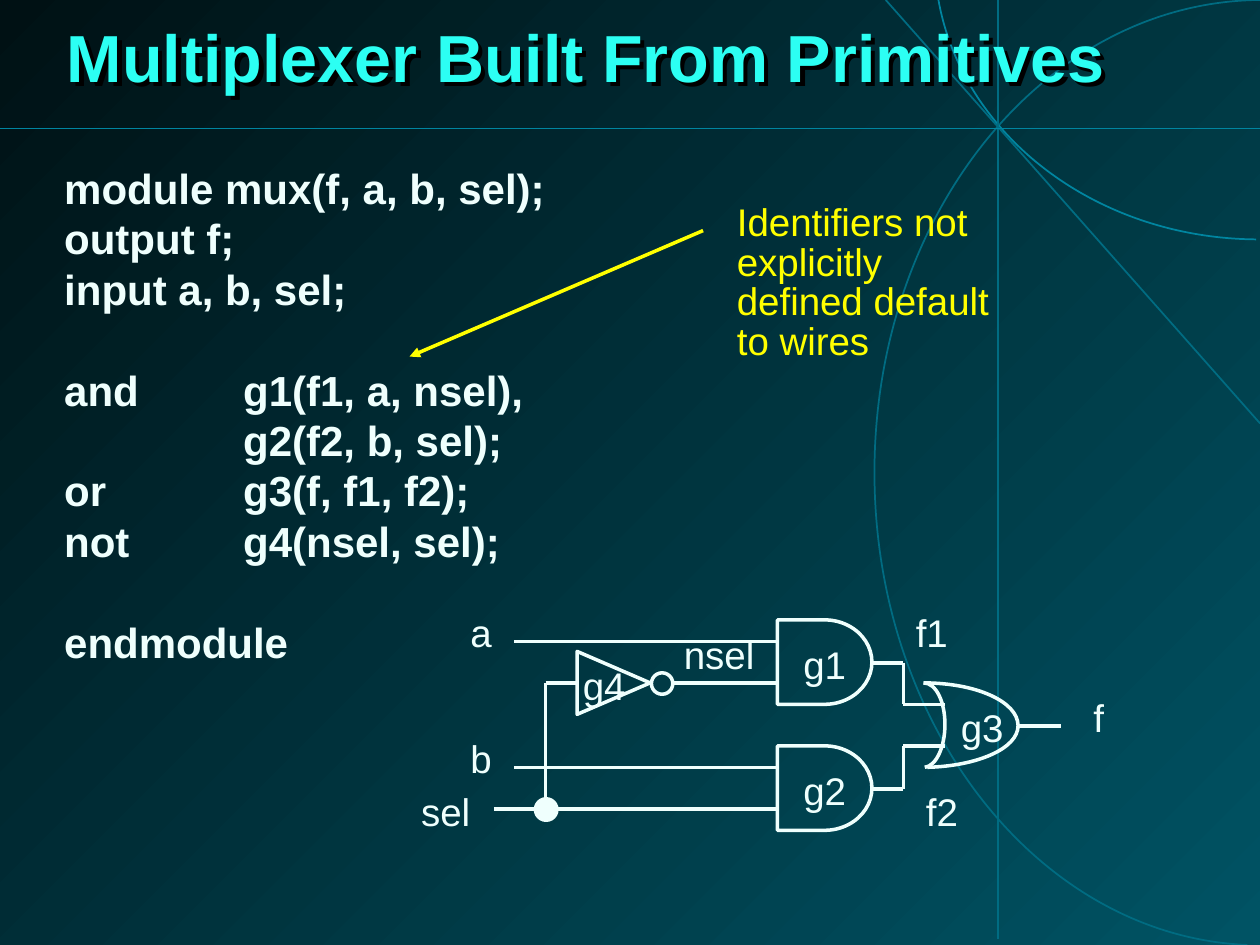
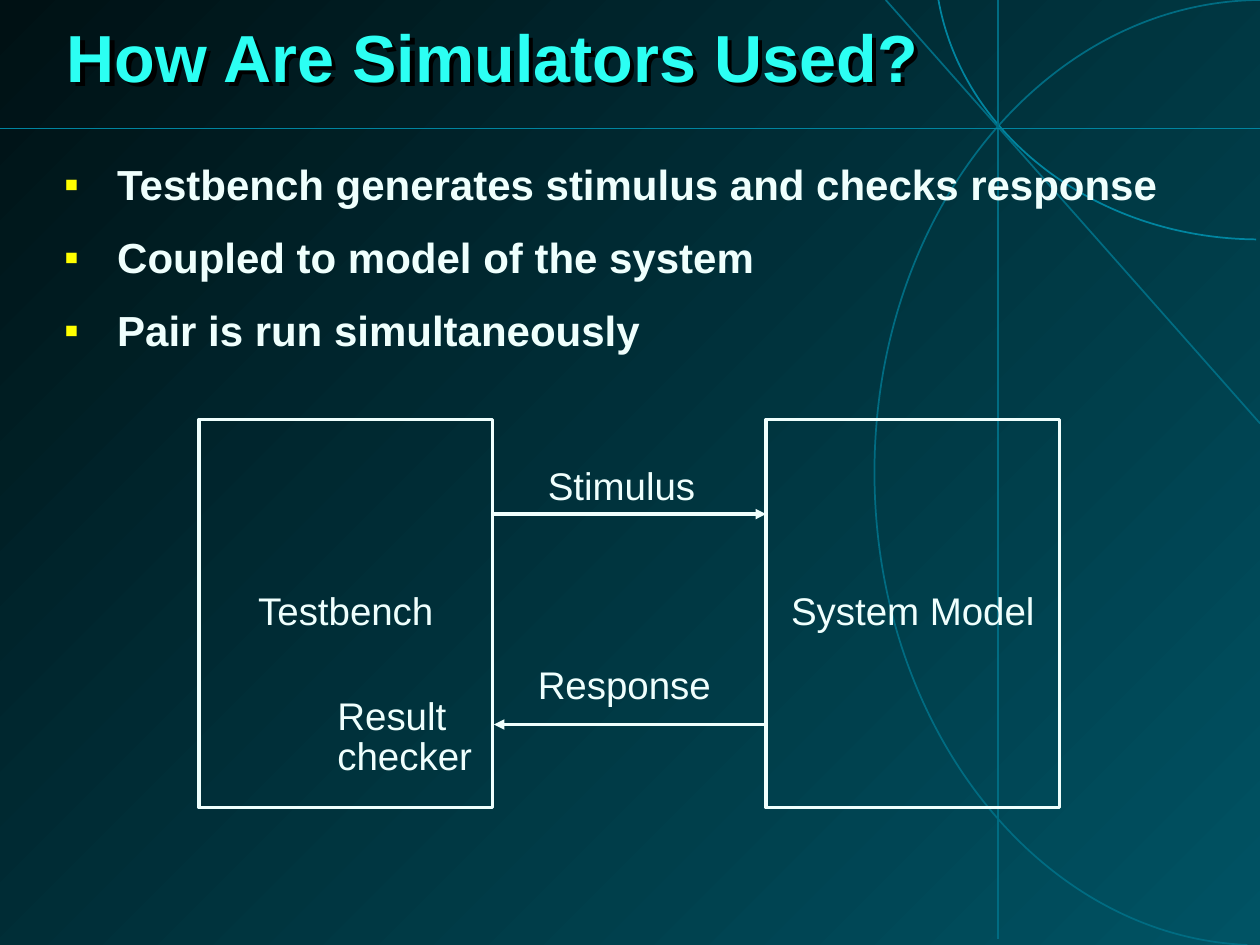
from lxml import etree
from pptx import Presentation
from pptx.dml.color import RGBColor
from pptx.enum.shapes import MSO_CONNECTOR, MSO_SHAPE
from pptx.enum.text import MSO_ANCHOR, MSO_AUTO_SIZE, PP_ALIGN
from pptx.oxml.ns import qn
from pptx.util import Inches, Pt

DEEP = RGBColor(0x00, 0x11, 0x14)
TEAL = RGBColor(0x00, 0x53, 0x64)
DIM_LINE = RGBColor(0x00, 0x6C, 0x82)
BRIGHT_LINE = RGBColor(0x00, 0x85, 0xA0)
CYAN = RGBColor(0x2C, 0xFF, 0xF3)
PALE = RGBColor(0xEF, 0xFF, 0xFD)
YELLOW = RGBColor(0xFF, 0xFF, 0x00)
BLACK = RGBColor(0x00, 0x00, 0x00)

FONT = "Arial"
LEFT, CENTER, RIGHT = PP_ALIGN.LEFT, PP_ALIGN.CENTER, PP_ALIGN.RIGHT
STRAIGHT = MSO_CONNECTOR.STRAIGHT
RECT, OVAL = MSO_SHAPE.RECTANGLE, MSO_SHAPE.OVAL
AND_GATE, TRIANGLE = MSO_SHAPE.FLOWCHART_DELAY, MSO_SHAPE.ISOSCELES_TRIANGLE

CODE_LINE = 28.8  # points between lines of code
CODE = [  # text, blank lines above
    ("module mux(f, a, b, sel);", 0),
    ("output f;", 0),
    ("input a, b, sel;", 0),
    ("and\tg1(f1, a, nsel),", 1),
    ("\t\tg2(f2, b, sel);", 0),
    ("or\t\tg3(f, f1, f2);", 0),
    ("not\tg4(nsel, sel);", 0),
    ("endmodule", 1),
]
BULLETS = [
    "Testbench generates stimulus and checks response",
    "Coupled to model of the system",
    "Pair is run simultaneously",
]


def add_xml(parent, tag, **attrs):
    return etree.SubElement(parent, qn(tag), {k: str(v) for k, v in attrs.items()})


def style(p, size, color, spacing, bold=False, align=LEFT):
    p.alignment = align
    p.line_spacing = Pt(spacing)
    p.space_before = Pt(0)
    f = p.font
    f.name, f.size, f.bold = FONT, Pt(size), bold
    f.color.rgb = color


def place(shape, left, top, width, height):
    shape.left, shape.top = Inches(left), Inches(top)
    shape.width, shape.height = Inches(width), Inches(height)


# Lines and shapes
def add_line(s, x1, y1, x2, y2, color=PALE, width=2, arrow=False):
    line = s.shapes.add_connector(STRAIGHT, Inches(x1), Inches(y1), Inches(x2), Inches(y2))
    line.line.color.rgb = color
    line.line.width = Pt(width)
    if arrow:
        add_xml(line.line._get_or_add_ln(), "a:tailEnd", type="triangle")
    add_xml(line._element.spPr, "a:effectLst")
    return line


def outline(shape, color=PALE, width=2):
    shape.shadow.inherit = False
    shape.fill.background()
    shape.line.color.rgb = color
    shape.line.width = Pt(width)
    return shape


def add_outline(s, kind, left, top, width, height):
    return outline(s.shapes.add_shape(
        kind, Inches(left), Inches(top), Inches(width), Inches(height)))


def add_curve(s, start, *points, color=PALE, width=2):
    """Draw an open cubic curve; points come in threes: control, control, end."""
    builder = s.shapes.build_freeform(Inches(start[0]), Inches(start[1]))
    builder.add_line_segments([(Inches(x), Inches(y)) for x, y in points], close=False)
    shape = builder.convert_to_shape()
    # Join every three straight segments into one cubic segment
    segments = list(shape._element.iter(qn("a:lnTo")))
    outline_path = segments[0].getparent()
    for i in range(0, len(segments), 3):
        cubic = add_xml(outline_path, "a:cubicBezTo")
        for segment in segments[i:i + 3]:
            cubic.append(segment[0])
            outline_path.remove(segment)
    return outline(shape, color, width)


# Text
def add_label(s, text, left, top, width, height=0.41, color=PALE, align=LEFT):
    tf = s.shapes.add_textbox(
        Inches(left), Inches(top), Inches(width), Inches(height)).text_frame
    tf.word_wrap = True
    tf.text = text
    style(tf.paragraphs[0], 22, color, 22.5, align=align)


def add_block(s, text, left, top, width, height):
    tf = add_outline(s, RECT, left, top, width, height).text_frame
    tf.word_wrap = False
    tf.vertical_anchor = MSO_ANCHOR.MIDDLE
    tf.text = text
    style(tf.paragraphs[0], 22, PALE, 22.5, align=CENTER)


def add_slide(prs, title):
    s = prs.slides.add_slide(prs.slide_layouts[1])
    heading = s.shapes.title
    place(heading, 0.43, 0, 9.21, 0.98)
    place(s.placeholders[1], 0.41, 1.24, 9.12, 5.59)
    for shape in s.placeholders:
        shape.text_frame.auto_size = MSO_AUTO_SIZE.NONE
    heading.text_frame.text = title
    style(heading.text_frame.paragraphs[0], 38, CYAN, 39, bold=True)
    # An unfilled box casts the shadow of its text
    heading.fill.background()
    effects = add_xml(heading._element.spPr, "a:effectLst")
    shadow = add_xml(effects, "a:outerShdw", dist=Pt(3.5), dir=2700000)
    add_xml(shadow, "a:srgbClr", val=BLACK)
    return s


def body_paragraphs(s, lines):
    """Fill the body and give its paragraphs a hanging indent."""
    tf = s.placeholders[1].text_frame
    tf.text = "\n".join(lines)
    for p in tf.paragraphs:
        pPr = p._p.get_or_add_pPr()
        pPr.set("marL", str(Inches(0.42)))
        pPr.set("indent", str(-Inches(0.42)))
        pPr.set("defTabSz", str(Inches(1)))
    return tf.paragraphs


def add_code(s):
    lines = [text for text, _ in CODE]
    for p, (_, blanks) in zip(body_paragraphs(s, lines), CODE):
        add_xml(p._p.pPr, "a:buNone")
        style(p, 24, PALE, CODE_LINE, bold=True)
        p.space_before = Pt(blanks * CODE_LINE)


def add_bullets(s):
    for p in body_paragraphs(s, BULLETS):
        pPr = p._p.pPr
        add_xml(add_xml(pPr, "a:buClr"), "a:srgbClr", val=YELLOW)
        add_xml(pPr, "a:buFont", typeface=FONT)
        add_xml(pPr, "a:buChar", char="▪")
        style(p, 24, PALE, 26.7, bold=True)
        p.space_after = Pt(15)


def decorate_master(prs, s):
    """Give the master its gradient and line art, drawn on s and moved over."""
    master = prs.slide_master
    fill = master.background.fill
    fill.gradient()
    fill.gradient_angle = 315
    for i, color in enumerate((DEEP, TEAL)):
        fill.gradient_stops[i].color.rgb = color
        fill.gradient_stops[i].position = i
    art = [
        add_curve(s, (9.9, 7.5), (8.25, 7.43), (6.94, 5.77), (6.94, 3.75),
                  (6.94, 1.68), (8.31, 0), (10.02, 0),
                  (10.03, 0), (10.04, 0), (10.05, 0), color=DIM_LINE, width=1),
        add_curve(s, (9.97, 1.9), (8.69, 1.89), (7.61, 1.06), (7.44, -0.05),
                  color=BRIGHT_LINE, width=1),
        add_line(s, 10, 3.36, 7.03, 0, DIM_LINE, 1),
        add_line(s, 7.92, 0, 7.92, 7.45, DIM_LINE, 1),
        add_line(s, 0, 1.02, 10, 1.02, BRIGHT_LINE, 1),
    ]
    for shape in art:
        master.shapes._spTree.append(shape._element)


def draw_multiplexer(s):
    # AND gates g1 and g2
    for name, top in (("g1", 4.92), ("g2", 5.92)):
        add_outline(s, AND_GATE, 6.17, top, 0.75, 0.67)
        add_line(s, 6.92, top + 0.34, 7.17, top + 0.34)
        add_label(s, name, 6.17, top + 0.17, 0.75, align=CENTER)

    # OR gate g3
    add_curve(s, (7.33, 5.42), (7.43, 5.42), (7.5, 5.57), (7.5, 5.75),
              (7.5, 5.93), (7.43, 6.08), (7.34, 6.09))
    add_curve(s, (7.33, 5.42), (7.75, 5.42), (8.08, 5.57), (8.08, 5.76),
              (8.08, 5.94), (7.76, 6.08), (7.36, 6.09))
    add_label(s, "g3", 7.42, 5.59, 0.75, align=CENTER)

    # Inverter g4
    add_outline(s, TRIANGLE, 4.62, 5.13, 0.5, 0.58).rotation = 90
    add_outline(s, OVAL, 5.17, 5.34, 0.17, 0.17)
    add_label(s, "g4", 4.42, 5.26, 0.75, align=CENTER)

    # Wires
    for wire in [
        (4.08, 5.09, 6.17, 5.09), (4.08, 6.09, 6.17, 6.09),  # a, b
        (3.92, 6.42, 6.17, 6.42), (4.33, 5.42, 4.33, 6.42),  # sel
        (4.33, 5.42, 4.58, 5.42), (5.33, 5.42, 6.17, 5.42),  # nsel
        (7.17, 5.26, 7.17, 5.59), (7.17, 5.59, 7.5, 5.59),   # f1
        (7.17, 5.92, 7.17, 6.26), (7.17, 5.92, 7.5, 5.92),   # f2
        (8.08, 5.76, 8.42, 5.76),                            # f
    ]:
        add_line(s, *wire)
    junction = add_outline(s, OVAL, 4.25, 6.34, 0.17, 0.17)
    junction.fill.solid()
    junction.fill.fore_color.rgb = PALE

    # Signal names
    for name, left, top, width, align in [
        ("a", 3.25, 4.84, 0.75, RIGHT), ("b", 3.25, 5.84, 0.75, RIGHT),
        ("sel", 3.08, 6.26, 0.75, RIGHT), ("nsel", 5.33, 5.01, 1, LEFT),
        ("f1", 7.17, 4.84, 0.75, LEFT), ("f2", 7.25, 6.26, 0.75, LEFT),
        ("f", 8.58, 5.51, 0.5, LEFT),
    ]:
        add_label(s, name, left, top, width, align=align)


def draw_simulation(s):
    for name, left in (("Testbench", 1.58), ("System Model", 6.08)):
        add_block(s, name, left, 3.33, 2.33, 3.08)
    add_line(s, 3.92, 4.08, 6.08, 4.08, arrow=True)
    add_line(s, 6.08, 5.75, 3.92, 5.75, arrow=True)
    add_label(s, "Stimulus", 4.25, 3.67, 1.67)
    add_label(s, "Response", 4.17, 5.25, 1.67)
    add_label(s, "Result checker", 2.58, 5.5, 1.5, 0.73)


def main():
    prs = Presentation()
    prs.slide_width, prs.slide_height = Inches(10), Inches(7.5)

    # Slide 1: code, circuit and remark
    s = add_slide(prs, "Multiplexer Built From Primitives")
    decorate_master(prs, s)
    add_code(s)
    draw_multiplexer(s)
    add_label(s, "Identifiers not explicitly defined default to wires",
              5.75, 1.58, 2.42, 1.35, YELLOW)
    add_line(s, 5.58, 1.83, 3.25, 2.83, YELLOW, arrow=True)

    # Slide 2: bullets and block diagram
    s = add_slide(prs, "How Are Simulators Used?")
    add_bullets(s)
    draw_simulation(s)

    prs.save("out.pptx")


if __name__ == "__main__":
    main()
